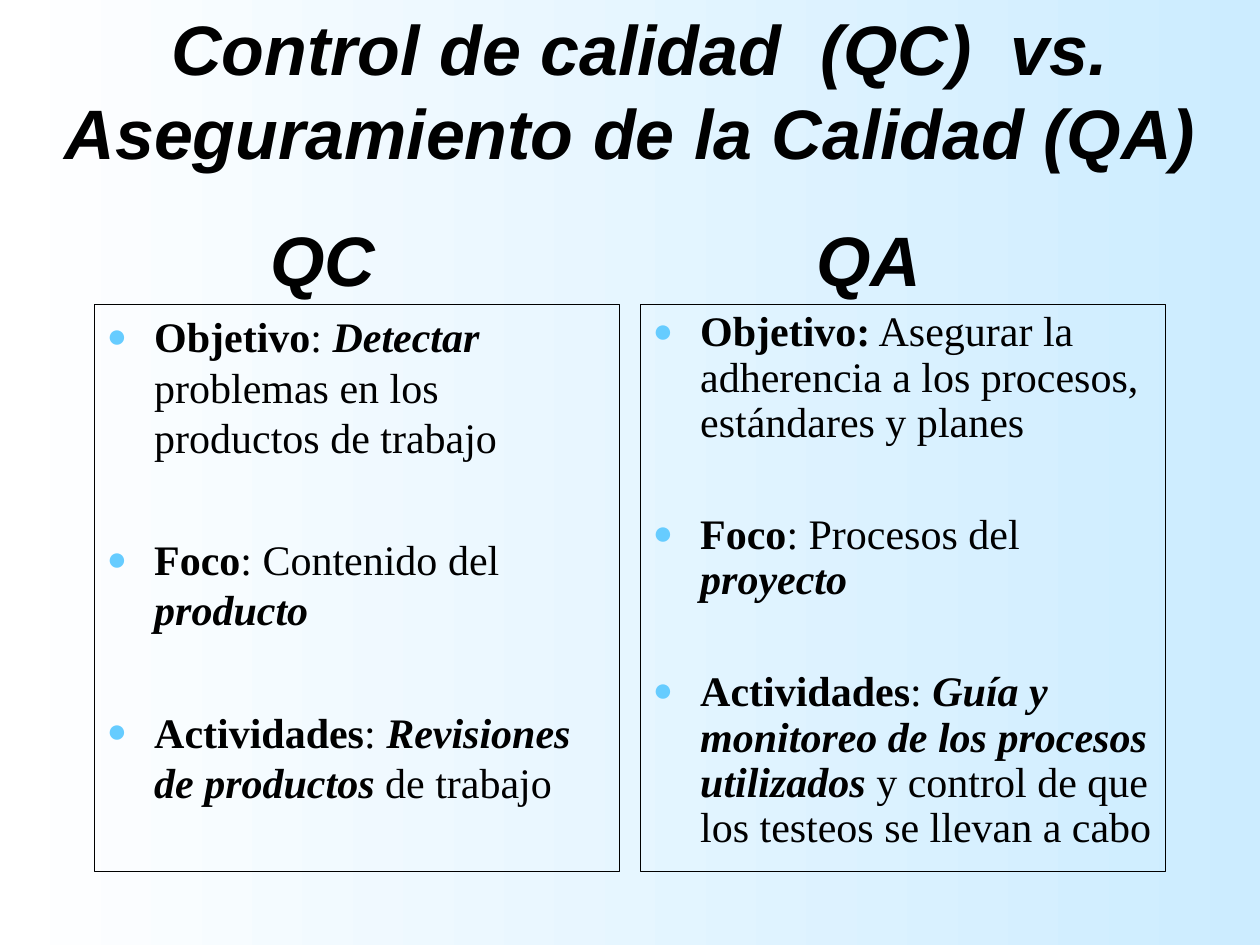
from lxml.etree import SubElement
from pptx import Presentation
from pptx.dml.color import RGBColor
from pptx.enum.shapes import MSO_SHAPE
from pptx.enum.text import MSO_ANCHOR, PP_ALIGN
from pptx.oxml.ns import qn
from pptx.util import Pt

COLORS = {"text": "000000", "bullet": "66CCFF", "bg_right": "CCECFF", "bg_left": "FFFFFF"}


def add_text(p, text, size=24, font="Times New Roman", bold=False, italic=False):
    r = p.add_run()
    r.text = text
    r.font.size, r.font.name = Pt(size), font
    r.font.bold, r.font.italic = bold, italic
    r.font.color.rgb = RGBColor.from_string(COLORS["text"])


def add_bullet(p):
    pPr = p._p.get_or_add_pPr()
    pPr.set("marL", str(Pt(27)))
    pPr.set("indent", str(-Pt(27)))
    clr = SubElement(pPr, qn("a:buClr"))
    SubElement(clr, qn("a:srgbClr")).set("val", COLORS["bullet"])
    SubElement(pPr, qn("a:buSzPct")).set("val", "80000")
    SubElement(pPr, qn("a:buFont")).set("typeface", "Times New Roman")
    SubElement(pPr, qn("a:buChar")).set("char", "●")


prs = Presentation()
prs.slide_width, prs.slide_height = Pt(720), Pt(540)
s = prs.slides.add_slide(prs.slide_layouts[6])

# Background gradient, from right to left
fill = s.background.fill
fill.gradient()
fill.gradient_angle = 180
for stop, name in zip(fill.gradient_stops, ("bg_right", "bg_left")):
    stop.color.rgb = RGBColor.from_string(COLORS[name])

# Title and column headings
headings = [
    (" Control de calidad  (QC)  vs. Aseguramiento de la Calidad (QA)", 24, 6, 672, 90, True),
    ("QC", 144.6, 120, 80, 55.5, False),
    ("QA", 456.6, 120, 80, 55.5, False),
]
for text, x, y, w, h, wrap in headings:
    tf = s.shapes.add_textbox(Pt(x), Pt(y), Pt(w), Pt(h)).text_frame
    tf.word_wrap = wrap
    tf.vertical_anchor = MSO_ANCHOR.MIDDLE if wrap else MSO_ANCHOR.TOP
    p = tf.paragraphs[0]
    p.alignment = PP_ALIGN.CENTER
    add_text(p, text, size=40, font="Arial", bold=True, italic=True)

# Columns: left edge, line spacing, gap between items, items as (text, style)
B, I, N = {"bold": True}, {"bold": True, "italic": True}, {}
columns = [
    (54, 1.0, 41, [
        [("Objetivo", B), (": ", N), ("Detectar ", I),
         ("problemas en los productos de trabajo", N)],
        [("Foco", B), (": Contenido del ", N), ("producto", I)],
        [("Actividades", B), (": ", N), ("Revisiones de productos", I), (" de trabajo", N)],
    ]),
    (366, 0.9, 38, [
        [("Objetivo:", B), (" Asegurar la adherencia a los procesos, estándares y planes", N)],
        [("Foco", B), (": Procesos del ", N), ("proyecto", I)],
        [("Actividades", B), (": ", N), ("Guía y monitoreo de los procesos utilizados", I),
         (" y control de que los testeos se llevan a cabo", N)],
    ]),
]
for x, spacing, gap, items in columns:
    sp = s.shapes.add_shape(MSO_SHAPE.RECTANGLE, Pt(x), Pt(174), Pt(300), Pt(324))
    sp.shadow.inherit = False
    sp.fill.background()
    sp.line.color.rgb = RGBColor.from_string(COLORS["text"])
    sp.line.width = Pt(0.75)
    tf = sp.text_frame
    tf.word_wrap = True
    tf.vertical_anchor = MSO_ANCHOR.TOP
    for i, runs in enumerate(items):
        p = tf.add_paragraph() if i else tf.paragraphs[0]
        p.alignment = PP_ALIGN.LEFT
        p.line_spacing = spacing
        p.space_before = Pt(gap if i else 6)
        add_bullet(p)
        for text, style in runs:
            add_text(p, text, **style)

prs.save("out.pptx")
